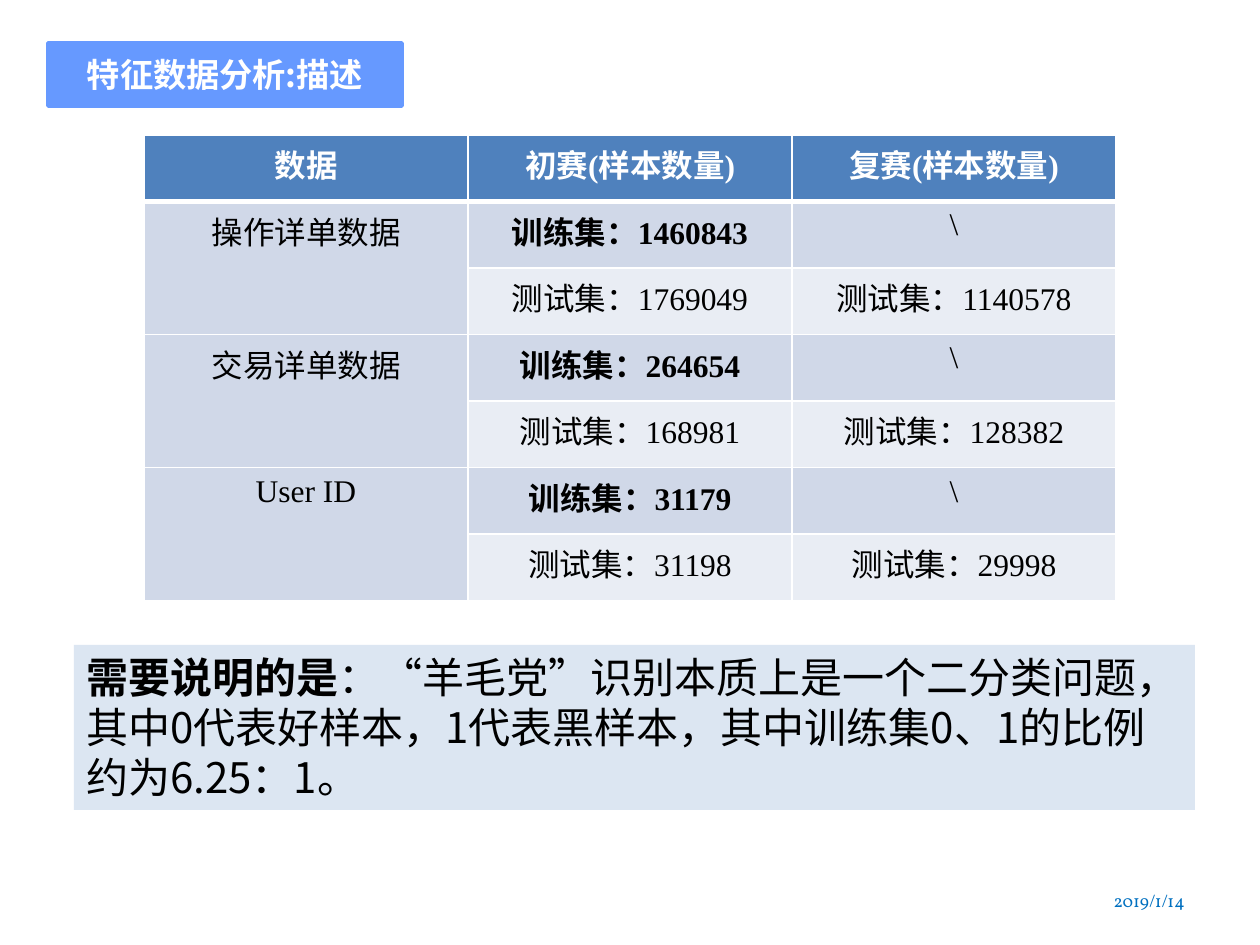
from lxml.etree import SubElement
from pptx import Presentation
from pptx.dml.color import RGBColor
from pptx.enum.shapes import MSO_SHAPE
from pptx.enum.text import MSO_ANCHOR as Anchor, MSO_AUTO_SIZE as AutoSize, PP_ALIGN as Align
from pptx.oxml.ns import qn
from pptx.util import Emu, Pt

# Content
TITLE = "特征数据分析:描述"
HEADERS = ["数据", "初赛(样本数量)", "复赛(样本数量)"]
# Name, first-round training and test sets, second-round test set
DATASETS = [
    ("操作详单数据", "1460843", "1769049", "1140578"),
    ("交易详单数据", "264654", "168981", "128382"),
    ("User ID", "31179", "31198", "29998"),
]
NOTE_LEAD = "需要说明的是"
NOTE_BODY = "：“羊毛党”识别本质上是一个二分类问题，其中0代表好样本，1代表黑样本，其中训练集0、1的比例约为6.25：1。"
DATE = "2019/1/14"

# Look
COLORS = {
    "white": "FFFFFF", "black": "000000", "banner": "6699FF", "header": "4F81BD",
    "train": "D0D8E8", "test": "E9EDF4", "note": "DCE6F2", "date": "0070C0",
}
SANS, SERIF, DATE_FONT = "Noto Sans CJK SC", "Times New Roman", "Vollkorn"
EMU_PER_PX = 914400 / 126


def px(length):
    return Emu(round(length * EMU_PER_PX))


def color(name):
    return RGBColor.from_string(COLORS[name])


def place(shape, left, top, width, height):
    shape.left, shape.top, shape.width, shape.height = map(px, (left, top, width, height))


def paint(shape, fill):
    shape.fill.solid()
    shape.fill.fore_color.rgb = color(fill)


def style(span, font, size, ink, bold=False):
    span.font.name, span.font.size, span.font.bold = font, Pt(size), bold
    span.font.color.rgb = color(ink)
    east_asian = SubElement(span.font._element, qn("a:ea"))
    east_asian.set("typeface", SANS)


def write_line(frame, text, align, *look):
    frame.text = text
    para = frame.paragraphs[0]
    para.alignment = align
    style(para.runs[0], *look)


def add_border(cell, side, points):
    line = SubElement(cell._tc.get_or_add_tcPr(), qn(f"a:{side}"), w=str(Pt(points)))
    fill = SubElement(line, qn("a:solidFill"))
    SubElement(fill, qn("a:srgbClr"), val=COLORS["white"])


def fill_cell(table, row, column, text, fill, ink="black", bold=False):
    cell = table.cell(row, column)
    write_line(cell.text_frame, text, Align.CENTER, SERIF, 18, ink, bold)
    for side in ("lnL", "lnR", "lnT", "lnB"):
        thick = (row, side) in ((0, "lnB"), (1, "lnT"))
        add_border(cell, side, 3 if thick else 1)
    paint(cell, fill)


deck = Presentation()
deck.slide_width, deck.slide_height = px(1260), px(945)
page = deck.slides.add_slide(deck.slide_layouts[5])

# Title banner with two snipped corners
banner = page.shapes.title
place(banner, 48, 43, 354, 63)
geometry = SubElement(banner._element.spPr, qn("a:prstGeom"), prst="snip2DiagRect")
guides = SubElement(geometry, qn("a:avLst"))
for guide, value in (("adj1", 0), ("adj2", 45900)):
    SubElement(guides, qn("a:gd"), name=guide, fmla=f"val {value}")
paint(banner, "banner")
banner.line.color.rgb = color("banner")
banner.line.width = Pt(2)
frame = banner.text_frame
frame.auto_size, frame.vertical_anchor = AutoSize.NONE, Anchor.MIDDLE
frame.margin_left = frame.margin_right = px(15)
frame.margin_top = frame.margin_bottom = px(8)
write_line(frame, TITLE, Align.CENTER, SANS, 19, "white", True)

# Sample counts: a training row and a test row for each data set
row_count = 1 + 2 * len(DATASETS)
table_box = (144, 135, 972, 466)
table = page.shapes.add_table(row_count, len(HEADERS), *map(px, table_box)).table
for column in table.columns:
    column.width = px(table_box[2] / len(HEADERS))
for row in table.rows:
    row.height = px(table_box[3] / row_count)
for column, header in enumerate(HEADERS):
    fill_cell(table, 0, column, header, "header", "white", True)
for index, (name, train, test, final_test) in enumerate(DATASETS):
    top = 1 + 2 * index
    fill_cell(table, top, 0, name, "train")
    fill_cell(table, top, 1, f"训练集：{train}", "train", bold=True)
    fill_cell(table, top, 2, "\\", "train")
    fill_cell(table, top + 1, 1, f"测试集：{test}", "test")
    fill_cell(table, top + 1, 2, f"测试集：{final_test}", "test")
    table.cell(top, 0).merge(table.cell(top + 1, 0))

# Note
note = page.shapes.add_shape(MSO_SHAPE.RECTANGLE, *map(px, (74, 645, 1121, 165)))
note.shadow.inherit = False
paint(note, "note")
note.line.fill.background()
note.text_frame.word_wrap = True
note.text_frame.auto_size = AutoSize.SHAPE_TO_FIT_TEXT
note.text_frame.vertical_anchor = Anchor.TOP
write_line(note.text_frame, NOTE_LEAD, Align.LEFT, SANS, 24, "black", True)
body = note.text_frame.paragraphs[0].add_run()
body.text = NOTE_BODY
style(body, SANS, 24, "black")

# Date
date = page.shapes.add_textbox(*map(px, (903, 876, 294, 50)))
date.text_frame.word_wrap = True
date.text_frame.vertical_anchor = Anchor.MIDDLE
write_line(date.text_frame, DATE, Align.RIGHT, DATE_FONT, 10, "date")

deck.save("out.pptx")
